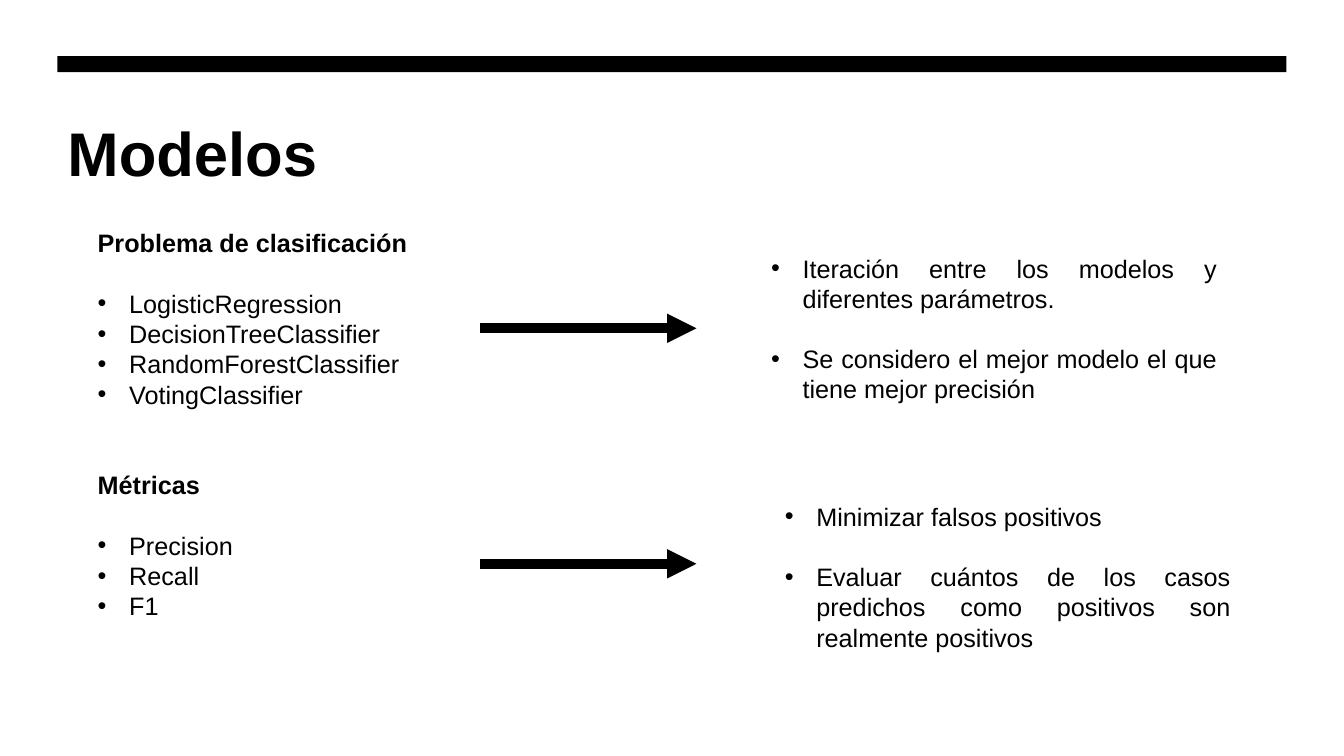
from dataclasses import dataclass

import lxml.etree
import pptx
import pptx.dml.color
import pptx.enum.shapes
import pptx.enum.text
import pptx.oxml.ns
import pptx.util
from pptx.util import Pt

BLACK = pptx.dml.color.RGBColor(0, 0, 0)
WHITE = pptx.dml.color.RGBColor(255, 255, 255)
FONT_NAME = "Arial"
TITLE_SIZE = 44
BODY_SIZE = 18
LEADING = 1.2
BLANK_LINE = BODY_SIZE * LEADING
BULLET_INDENT = 22.5
ALIGN = pptx.enum.text.PP_ALIGN
ANCHOR = pptx.enum.text.MSO_ANCHOR


@dataclass
class Line:
    text: str
    bullet: bool = True
    lines_before: int = 0


@dataclass
class TextBlock:
    placeholder_index: int
    left: float
    top: float
    width: float
    height: float
    lines: list[Line]


TITLE = TextBlock(0, 41, 77, 878, 62.6, [Line("Modelos", bullet=False)])
BODY_BLOCKS = [
    TextBlock(2, 62.6, 159, 280, 334, [
        Line("Problema de clasificación", bullet=False),
        Line("LogisticRegression", lines_before=1),
        Line("DecisionTreeClassifier"),
        Line("RandomForestClassifier"),
        Line("VotingClassifier"),
        Line("Métricas", bullet=False, lines_before=2),
        Line("Precision", lines_before=1),
        Line("Recall"),
        Line("F1"),
    ]),
    TextBlock(4, 543.6, 177, 332.8, 116.6, [
        Line("Iteración entre los modelos y diferentes parámetros."),
        Line("Se considero el mejor modelo el que tiene mejor precisión", lines_before=1),
    ]),
    TextBlock(3, 553.4, 354.2, 332.8, 116.6, [
        Line("Minimizar falsos positivos"),
        Line("Evaluar cuántos de los casos predichos como positivos son realmente positivos",
             lines_before=1),
    ]),
]
ARROW_LEFT, ARROW_RIGHT = 342.8, 497.5
ARROW_HEIGHTS = [234.5, 402.7]


def set_attributes(target: object, values: dict) -> None:
    for name, value in values.items():
        setattr(target, name, value)


def set_bullet(paragraph: object, bullet: bool) -> None:
    properties = paragraph._p.get_or_add_pPr()
    indent = Pt(BULLET_INDENT) if bullet else 0
    properties.set("marL", str(indent))
    properties.set("indent", str(-indent))
    if bullet:
        font = lxml.etree.SubElement(properties, pptx.oxml.ns.qn("a:buFont"))
        font.set("typeface", FONT_NAME)
        mark = lxml.etree.SubElement(properties, pptx.oxml.ns.qn("a:buChar"))
        mark.set("char", "•")
    else:
        lxml.etree.SubElement(properties, pptx.oxml.ns.qn("a:buNone"))


def fill_placeholder(slide: object, block: TextBlock, size: int,
                     alignment: ALIGN, anchor: ANCHOR) -> None:
    shape = next(item for item in slide.placeholders
                 if item.placeholder_format.idx == block.placeholder_index)
    set_attributes(shape, {"left": Pt(block.left), "top": Pt(block.top),
                           "width": Pt(block.width), "height": Pt(block.height)})
    frame = shape.text_frame
    set_attributes(frame, {
        "word_wrap": True, "auto_size": pptx.enum.text.MSO_AUTO_SIZE.NONE,
        "vertical_anchor": anchor, "margin_left": Pt(7.2), "margin_right": Pt(7.2),
        "margin_top": Pt(3.6), "margin_bottom": Pt(3.6)})
    for number, line in enumerate(block.lines):
        paragraph = frame.add_paragraph() if number else frame.paragraphs[0]
        set_bullet(paragraph, line.bullet)
        set_attributes(paragraph, {
            "alignment": alignment, "line_spacing": Pt(size * LEADING),
            "space_before": Pt(line.lines_before * BLANK_LINE), "space_after": Pt(0)})
        run = paragraph.add_run()
        run.text = line.text
        set_attributes(run.font, {"name": FONT_NAME, "size": Pt(size),
                                  "bold": not line.bullet})
        run.font.color.rgb = BLACK


def add_arrow(slide: object, height: float) -> None:
    arrow = slide.shapes.add_connector(
        pptx.enum.shapes.MSO_CONNECTOR.STRAIGHT,
        Pt(ARROW_LEFT), Pt(height), Pt(ARROW_RIGHT), Pt(height))
    arrow.line.color.rgb = BLACK
    arrow.line.width = Pt(7)
    head = lxml.etree.SubElement(arrow.line._get_or_add_ln(), pptx.oxml.ns.qn("a:tailEnd"))
    head.set("type", "triangle")
    lxml.etree.SubElement(arrow._element.spPr, pptx.oxml.ns.qn("a:effectLst"))


def main() -> None:
    presentation = pptx.Presentation()
    set_attributes(presentation, {"slide_width": Pt(960), "slide_height": Pt(540)})
    slide = presentation.slides.add_slide(
        presentation.slide_layouts.get_by_name("Comparison"))
    slide.background.fill.solid()
    slide.background.fill.fore_color.rgb = WHITE

    # Top bar
    bar = slide.shapes.add_shape(pptx.enum.shapes.MSO_SHAPE.RECTANGLE,
                                 Pt(41), Pt(40.2), Pt(878), Pt(11.4))
    bar.shadow.inherit = False
    bar.fill.solid()
    bar.fill.fore_color.rgb = BLACK
    bar.line.fill.background()

    # Title and lists
    fill_placeholder(slide, TITLE, TITLE_SIZE, ALIGN.LEFT, ANCHOR.MIDDLE)
    for block in BODY_BLOCKS:
        fill_placeholder(slide, block, BODY_SIZE, ALIGN.JUSTIFY, ANCHOR.TOP)

    # Arrows from each topic to its explanation
    for height in ARROW_HEIGHTS:
        add_arrow(slide, height)

    # Unused placeholders
    for placeholder in list(slide.placeholders):
        if not placeholder.text_frame.text:
            placeholder._element.getparent().remove(placeholder._element)

    presentation.save("out.pptx")


if __name__ == "__main__":
    main()
